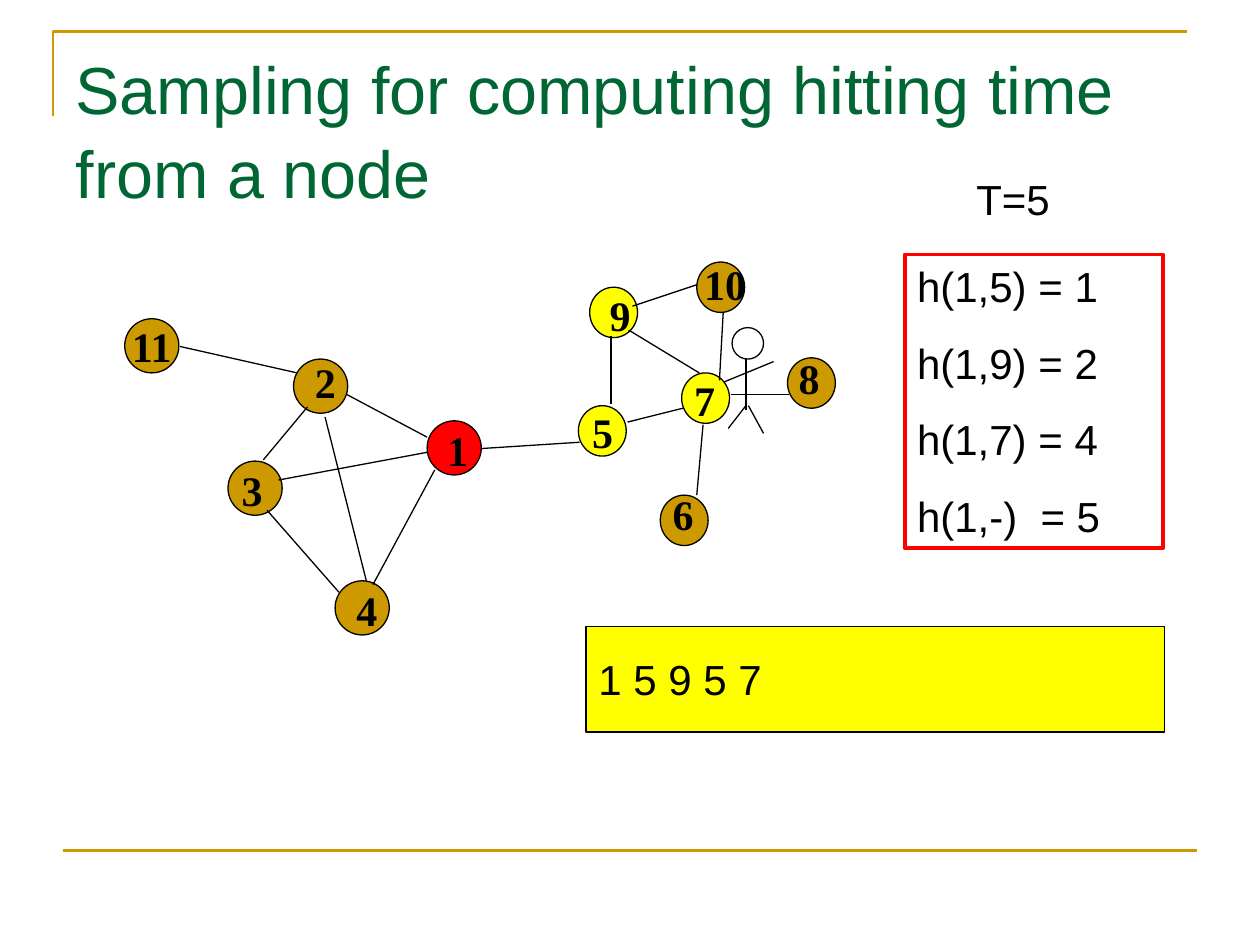
"""Build a slide on sampling hitting times from a node of a graph."""
from typing import NamedTuple, Optional

from lxml.etree import SubElement
from pptx import Presentation
from pptx.dml.color import RGBColor
from pptx.enum.shapes import MSO_CONNECTOR, MSO_SHAPE
from pptx.enum.text import MSO_ANCHOR, MSO_AUTO_SIZE, PP_ALIGN
from pptx.oxml.ns import qn
from pptx.util import Inches, Pt

BLACK, GOLD, YELLOW, RED, GREEN = "000000", "CC9900", "FFFF00", "FF0000", "006633"
SANS, SERIF = "Arial", "Times New Roman"
BIG, SMALL = (0.43, 0.43), (0.38, 0.4)


class Node(NamedTuple):
    name: str
    at: tuple[float, float]
    size: tuple[float, float]
    fill: str
    tag: Optional[tuple[float, float]]


class Edge(NamedTuple):
    start: tuple[float, float]
    end: tuple[float, float]


NODES = [
    Node("1", (3.39, 3.34), BIG, RED, (3.45, 3.32)),
    Node("11", (0.99, 2.53), BIG, GOLD, None),
    Node("2", (2.33, 2.85), BIG, GOLD, (2.4, 2.78)),
    Node("3", (1.81, 3.66), BIG, GOLD, (1.82, 3.64)),
    Node("4", (2.66, 4.61), BIG, GOLD, (2.73, 4.59)),
    Node("10", (5.53, 2.08), SMALL, GOLD, (5.49, 2)),
    Node("9", (4.68, 2.28), SMALL, YELLOW, (4.74, 2.25)),
    Node("7", (5.41, 2.96), SMALL, YELLOW, (5.41, 2.92)),
    Node("5", (4.59, 3.22), SMALL, YELLOW, (4.6, 3.18)),
    Node("6", (5.24, 3.93), SMALL, GOLD, (5.24, 3.83)),
    Node("8", (6.25, 2.84), SMALL, GOLD, (6.24, 2.75)),
]
EDGES = [
    Edge((1.43, 2.75), (2.36, 2.96)),
    Edge((2.75, 3.13), (3.39, 3.47)),
    Edge((2.96, 4.64), (3.45, 3.73)),
    Edge((2.12, 4.05), (2.69, 4.7)),
    Edge((3.82, 3.56), (4.6, 3.51)),
    Edge((4.85, 2.67), (4.85, 3.21)),
    Edge((4.98, 3.35), (5.42, 3.24)),
    Edge((5.58, 3.37), (5.53, 3.93)),
    Edge((5.8, 3.13), (6.26, 3.13)),
    Edge((4.99, 2.62), (5.55, 2.96)),
    Edge((5.02, 2.43), (5.53, 2.26)),
    Edge((2.09, 3.65), (2.44, 3.23)),
    Edge((2.58, 3.31), (2.91, 4.62)),
    Edge((5.74, 2.48), (5.71, 3.02)),
    Edge((3.39, 3.59), (2.21, 3.81)),
]
LIMBS = [
    Edge((5.75, 3.03), (6.14, 2.87)),
    Edge((5.92, 3.22), (5.78, 3.4)),
    Edge((5.92, 2.84), (5.92, 3.25)),
    Edge((5.94, 3.22), (6.06, 3.44)),
]


def paint(part, color: str) -> None:
    """Colour a fill solidly."""
    part.solid()
    part.fore_color.rgb = RGBColor.from_string(color)


def style(shape, fill: Optional[str], line: str, width: float) -> None:
    """Set fill and outline, without shadow."""
    shape.shadow.inherit = False
    if fill:
        paint(shape.fill, fill)
    else:
        shape.fill.background()
    paint(shape.line.fill, line)
    shape.line.width = Pt(width)


def write(shape, lines: list[str], face: str, size: float = 24,
          color: str = BLACK, bold: bool = False, gap: float = 0,
          align=PP_ALIGN.LEFT, stop: float = 0) -> None:
    """Fill a shape with paragraphs in one font."""
    frame = shape.text_frame
    for i, line in enumerate(lines):
        par = frame.paragraphs[0] if i == 0 else frame.add_paragraph()
        par.text = line
        par.alignment = align
        if i:
            par.space_before = Pt(gap)
        if "\t" in line:
            tabs = SubElement(par._p.get_or_add_pPr(), qn("a:tabLst"))
            SubElement(tabs, qn("a:tab"), pos=str(Inches(stop)), algn="l")
        font = par.font
        font.name, font.size, font.bold = face, Pt(size), bold
        paint(font.fill, color)


def draw_shape(shapes, kind, at: tuple[float, float], size: tuple[float, float],
               fill: Optional[str] = None, line: str = BLACK, width: float = 0.75):
    """Add a preset shape."""
    shape = shapes.add_shape(kind, *map(Inches, at + size))
    style(shape, fill, line, width)
    return shape


def draw_edge(shapes, edge: Edge, color: str = BLACK, width: float = 0.75) -> None:
    """Add a straight line."""
    line = shapes.add_connector(MSO_CONNECTOR.STRAIGHT, *map(Inches, edge.start + edge.end))
    paint(line.line.fill, color)
    line.line.width = Pt(width)
    SubElement(line._element.spPr, qn("a:effectLst"))


def draw_text(shapes, text: str, at: tuple[float, float], width: float,
              face: str, bold: bool = False) -> None:
    """Add a one-line text box."""
    box = shapes.add_textbox(*map(Inches, (*at, width, 0.5)))
    box.text_frame.word_wrap = True
    box.text_frame.auto_size = MSO_AUTO_SIZE.SHAPE_TO_FIT_TEXT
    write(box, [text], face, bold=bold)


def draw_graph(shapes) -> None:
    """Draw nodes, then edges, then the node names."""
    for node in NODES:
        oval = draw_shape(shapes, MSO_SHAPE.OVAL, node.at, node.size, node.fill)
        if node.tag is None:
            oval.text_frame.word_wrap = False
            write(oval, [node.name], SERIF, bold=True, align=PP_ALIGN.CENTER)
    for edge in EDGES:
        draw_edge(shapes, edge)
    for node in NODES:
        if node.tag:
            width = 0.32 if len(node.name) == 1 else 0.58
            draw_text(shapes, node.name, node.tag, width, SERIF, bold=True)


def draw_walker(shapes) -> None:
    """Draw the stick figure on the graph."""
    draw_shape(shapes, MSO_SHAPE.OVAL, (5.81, 2.6), (0.25, 0.25))
    for limb in LIMBS:
        draw_edge(shapes, limb)


def draw_frame(shapes) -> None:
    """Draw the gold rules around the page."""
    pen = shapes.build_freeform(Inches(0.42), Inches(0.92))
    pen.add_line_segments([(Inches(x), Inches(0.25)) for x in (0.42, 9.42)], close=False)
    style(pen.convert_to_shape(), None, GOLD, 1.5)
    draw_edge(shapes, Edge((0.5, 6.75), (9.5, 6.75)), GOLD, 1.5)


def draw_title(title) -> None:
    """Place and fill the title."""
    title.left, title.top, title.width, title.height = map(Inches, (0.5, 0.3, 9, 1.25))
    frame = title.text_frame
    frame.vertical_anchor = MSO_ANCHOR.TOP
    frame.auto_size = MSO_AUTO_SIZE.NONE
    write(title, ["Sampling for computing hitting time from a node"], SANS, 38, GREEN)
    frame.paragraphs[0].line_spacing = 1.05


def main() -> None:
    """Build and save the slide."""
    deck = Presentation()
    deck.slide_width, deck.slide_height = Inches(10), Inches(7.5)
    slide = deck.slides.add_slide(deck.slide_layouts[5])
    shapes = slide.shapes
    draw_frame(shapes)
    draw_title(shapes.title)
    draw_graph(shapes.add_group_shape().shapes)
    draw_walker(shapes.add_group_shape().shapes)

    walk = draw_shape(shapes, MSO_SHAPE.RECTANGLE, (4.65, 4.97), (4.59, 0.84), YELLOW)
    walk.text_frame.word_wrap = False
    write(walk, ["1 5 9 5 7"], SANS)

    times = draw_shape(shapes, MSO_SHAPE.RECTANGLE, (7.18, 2.02), (2.05, 2.33),
                       line=RED, width=2.25)
    times.text_frame.vertical_anchor = MSO_ANCHOR.TOP
    write(times, ["h(1,5) = 1", "h(1,9) = 2", "h(1,7) = 4", "h(1,-)\t= 5"],
          SANS, gap=15, stop=0.98)
    draw_text(shapes, "T=5", (7.65, 1.33), 1.54, SANS)
    deck.save("out.pptx")


if __name__ == "__main__":
    main()
